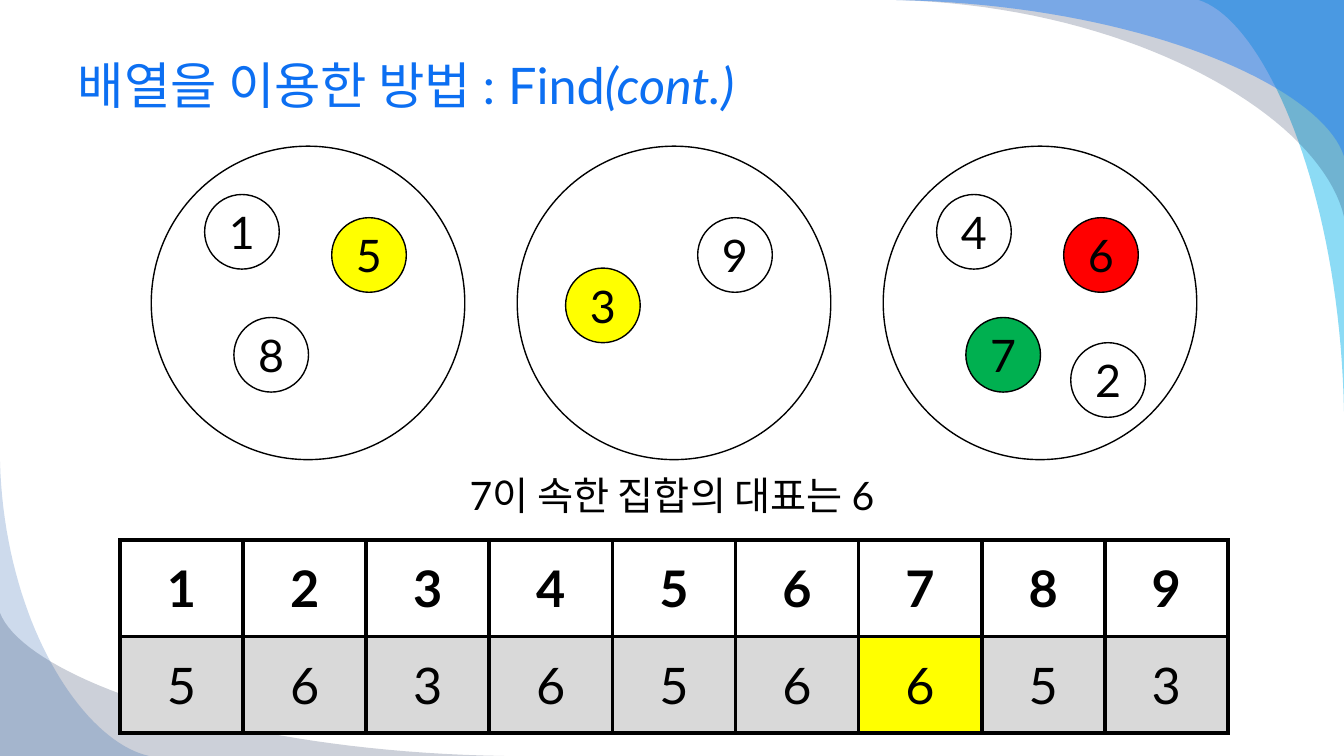
import lxml.etree
import pptx
import pptx.dml.color
import pptx.enum.shapes
import pptx.enum.text
import pptx.oxml.ns
import pptx.util

Inches = pptx.util.Inches
CENTER = pptx.enum.text.PP_ALIGN.CENTER
MIDDLE = pptx.enum.text.MSO_ANCHOR.MIDDLE
qn = pptx.oxml.ns.qn

WHITE, BLACK, YELLOW, RED, GREEN, GRAY = (
    "FFFFFF", "000000", "FFFF00", "FF0000", "00B050", "D9D9D9")


def set_color(color_format, color):
    color_format.rgb = pptx.dml.color.RGBColor.from_string(color)


def format_text(text_frame, size, color=BLACK, bold=False, alignment=CENTER):
    text_frame.vertical_anchor = MIDDLE
    paragraph = text_frame.paragraphs[0]
    paragraph.alignment = alignment
    for run in paragraph.runs:
        run.font.name = "Lato"
        run.font.size = pptx.util.Pt(size)
        run.font.bold = bold
        set_color(run.font.color, color)


presentation = pptx.Presentation()
presentation.slide_width = Inches(13.33)
presentation.slide_height = Inches(7.5)
slide = presentation.slides.add_slide(presentation.slide_layouts[5])
shapes = slide.shapes

# Corner swooshes: tail, corner, tip, colour, opacity in percent.
# One Bezier curve, given as shares of the two sides, fits every corner.
swooshes = [
    ((13.33, 4.08), (13.33, 0), (11.89, 0), "00B1E9", 45),
    ((8.89, 0), (13.33, 0), (13.33, 2.15), "021741", 20),
    ((8.89, 0), (13.33, 0), (13.33, 1.55), "247FF4", 49),
    ((5, 7.5), (0, 7.5), (0, 6.08), "021741", 20),
    ((0, 4.58), (0, 7.5), (1.48, 7.5), "084AA1", 20),
]
curve_controls = [(1, 0), (0.46, 0.03), (0.05, 0.55), (0, 1)]
steps = 40
for tail, corner, tip, color, opacity in swooshes:
    outline = [corner]
    for step in range(steps + 1):
        t = step / steps
        weights = [(1 - t) ** 3, 3 * t * (1 - t) ** 2, 3 * t ** 2 * (1 - t), t ** 3]
        along_tail = sum(w * a for w, (a, b) in zip(weights, curve_controls))
        along_tip = sum(w * b for w, (a, b) in zip(weights, curve_controls))
        outline.append([
            c + along_tail * (start - c) + along_tip * (end - c)
            for start, c, end in zip(tail, corner, tip)])
    points = [(Inches(x), Inches(y)) for x, y in outline]
    builder = shapes.build_freeform(*points[0])
    builder.add_line_segments(points[1:], close=True)
    swoosh = builder.convert_to_shape()
    swoosh.shadow.inherit = False
    swoosh.line.fill.background()
    swoosh.fill.solid()
    set_color(swoosh.fill.fore_color, color)
    color_element = swoosh.fill._xPr.find(qn("a:solidFill"))[0]
    lxml.etree.SubElement(color_element, qn("a:alpha"), val=str(opacity * 1000))

title = shapes.title
title.left, title.top = Inches(0.67), Inches(0.33)
title.width, title.height = Inches(12), Inches(1.01)
title.text_frame.text = "배열을 이용한 방법 : Find"
cont_run = title.text_frame.paragraphs[0].add_run()
cont_run.text = "(cont.)"
cont_run.font.italic = True
format_text(title.text_frame, 36, "0C6FF2", alignment=pptx.enum.text.PP_ALIGN.LEFT)

# Members of each set: label, offset from the set circle, fill.
member_sets = [
    [("1", 0.53, 0.48, WHITE), ("5", 1.79, 0.71, YELLOW), ("8", 0.82, 1.7, WHITE)],
    [("9", 1.79, 0.71, WHITE), ("3", 0.48, 1.21, YELLOW)],
    [("4", 0.53, 0.48, WHITE), ("6", 1.79, 0.71, RED),
     ("7", 0.82, 1.7, GREEN), ("2", 1.86, 1.95, WHITE)],
]
for index, members in enumerate(member_sets):
    set_left, set_top = 1.5 + index * 3.63, 1.45
    circles = [("", 0, 0, WHITE, 3.11)] + [(*member, 0.74) for member in members]
    for label, x, y, fill, diameter in circles:
        circle = shapes.add_shape(
            pptx.enum.shapes.MSO_SHAPE.OVAL, Inches(set_left + x),
            Inches(set_top + y), Inches(diameter), Inches(diameter))
        circle.shadow.inherit = False
        circle.fill.solid()
        set_color(circle.fill.fore_color, fill)
        set_color(circle.line.color, BLACK)
        circle.line.width = pptx.util.Pt(1)
        circle.text_frame.text = label
        format_text(circle.text_frame, 32)

answer = shapes.add_textbox(0, Inches(4.62), Inches(13.33), Inches(0.57))
answer.text_frame.word_wrap = True
answer.text_frame.text = "7이 속한 집합의 대표는 6"
format_text(answer.text_frame, 28)

array_rows = ["123456789", "563656653"]
table = shapes.add_table(
    2, 9, Inches(1.19), Inches(5.36), Inches(10.99), Inches(1.91)).table
for row, values in enumerate(array_rows):
    for column, value in enumerate(values):
        cell = table.cell(row, column)
        cell.text_frame.text = value
        format_text(cell.text_frame, 36, bold=row == 0)
        cell.vertical_anchor = MIDDLE
        properties = cell._tc.get_or_add_tcPr()
        for side in ("lnL", "lnR", "lnT", "lnB"):
            border = lxml.etree.SubElement(
                properties, qn("a:" + side), w=str(pptx.util.Pt(3)))
            border_fill = lxml.etree.SubElement(border, qn("a:solidFill"))
            lxml.etree.SubElement(border_fill, qn("a:srgbClr"), val=BLACK)
        cell.fill.solid()
        body_fill = YELLOW if column == 6 else GRAY
        set_color(cell.fill.fore_color, WHITE if row == 0 else body_fill)

presentation.save("out.pptx")
